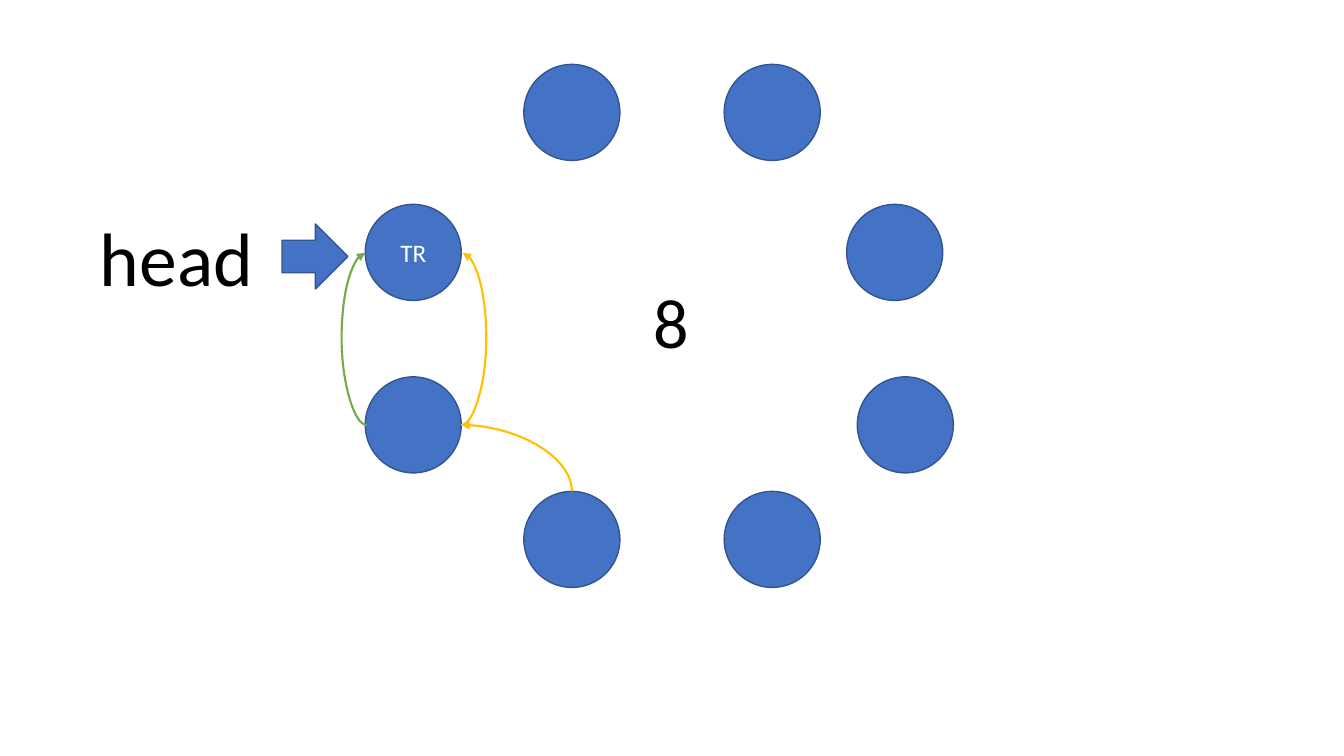
from lxml import etree
from pptx import Presentation
from pptx import util as u
from pptx.dml import color
from pptx.enum import shapes, text
from pptx.oxml import ns

SIZE = 68.6  # node diameter


def tint(code):
    return color.RGBColor.from_string(code)


def setall(item, vals):
    for key, val in vals.items():
        setattr(item, key, val)


class Board:
    font = "Calibri"
    fill = "4472C4"
    edge = "325491"

    def __init__(self, slide):
        self.slide = slide

    def letter(self, item, words, size, ink, frame, align):
        setall(item.text_frame, frame)
        para = item.text_frame.paragraphs[0]
        para.alignment = align
        run = para.add_run()
        run.text = words
        setall(run.font, {"name": self.font, "size": u.Pt(size)})
        run.font.color.rgb = tint(ink)

    def shape(self, kind, *box):
        item = self.slide.shapes.add_shape(kind, *map(u.Pt, box))
        item.shadow.inherit = False
        item.fill.solid()
        item.fill.fore_color.rgb = tint(self.fill)
        item.line.color.rgb = tint(self.edge)
        item.line.width = u.Pt(1)
        return item

    def node(self, left, top, words=""):
        item = self.shape(shapes.MSO_SHAPE.OVAL, left, top, SIZE, SIZE)
        if words:
            frame = {"vertical_anchor": text.MSO_ANCHOR.MIDDLE}
            self.letter(item, words, 18, "FFFFFF", frame,
                        text.PP_ALIGN.CENTER)

    def label(self, words, size, *box):
        item = self.slide.shapes.add_textbox(*map(u.Pt, box))
        frame = {"word_wrap": False,
                 "auto_size": text.MSO_AUTO_SIZE.SHAPE_TO_FIT_TEXT}
        self.letter(item, words, size, "000000", frame, text.PP_ALIGN.LEFT)

    def curve(self, ends, ink):
        item = self.slide.shapes.add_connector(
            shapes.MSO_CONNECTOR.CURVE, *map(u.Pt, ends))
        item.line.color.rgb = tint(ink)
        item.line.width = u.Pt(1.5)
        props = item._element.spPr
        etree.SubElement(props.find(ns.qn("a:ln")), ns.qn("a:tailEnd"),
                         type="triangle")
        etree.SubElement(props, ns.qn("a:effectLst"))
        return props

    def bow(self, ends, ink, reach):
        # Bulge beyond the narrow box by a multiple of its width
        geom = self.curve(ends, ink).find(ns.qn("a:prstGeom"))
        guides = geom.find(ns.qn("a:avLst"))
        etree.SubElement(guides, ns.qn("a:gd"), name="adj1",
                         fmla=f"val {reach * 100000}")

    def bend(self, x1, y1, x2, y2, ink):
        # A quarter turn makes the curve leave its start upright
        midx, midy = (x1 + x2) / 2, (y1 + y2) / 2
        wide, high = abs(y2 - y1) / 2, abs(x2 - x1) / 2
        ends = midx - wide, midy + high, midx + wide, midy - high
        props = self.curve(ends, ink)
        props.find(ns.qn("a:xfrm")).set("rot", "16200000")
        props.find(ns.qn("a:prstGeom")).set("prst", "curvedConnector2")


def main():
    deck = Presentation()
    setall(deck, {"slide_width": u.Pt(960), "slide_height": u.Pt(540)})
    board = Board(deck.slides.add_slide(deck.slide_layouts[6]))

    # Ring of nodes: each row has a left and a right one
    left, inner, outer = 260.9, 374.2, 517.3
    rows = [(46, inner, outer, ""), (146, left, 604.8, "TR"),
            (269.2, left, 612.4, ""), (351, inner, outer, "")]
    for top, west, east, words in rows:
        board.node(west, top, words)
        board.node(east, top)

    # Head pointer and count
    board.label("head", 54, 64.2, 146.9, 125.3, 72.7)
    board.shape(shapes.MSO_SHAPE.RIGHT_ARROW, 201.5, 160, 47, 46.4)
    board.label("8", 50, 460, 195.1, 39.4, 68.4)

    # Links between nodes
    low, high = 303.6, 180.6
    right = left + SIZE
    gold, green = "FFC000", "70AD47"
    board.bow((right, low, right + 1, high), gold, 18)
    board.bend(inner + SIZE / 2, 351, right, low, gold)
    board.bow((left + 1, low, left, high), green, 18)

    deck.save("out.pptx")


if __name__ == "__main__":
    main()
